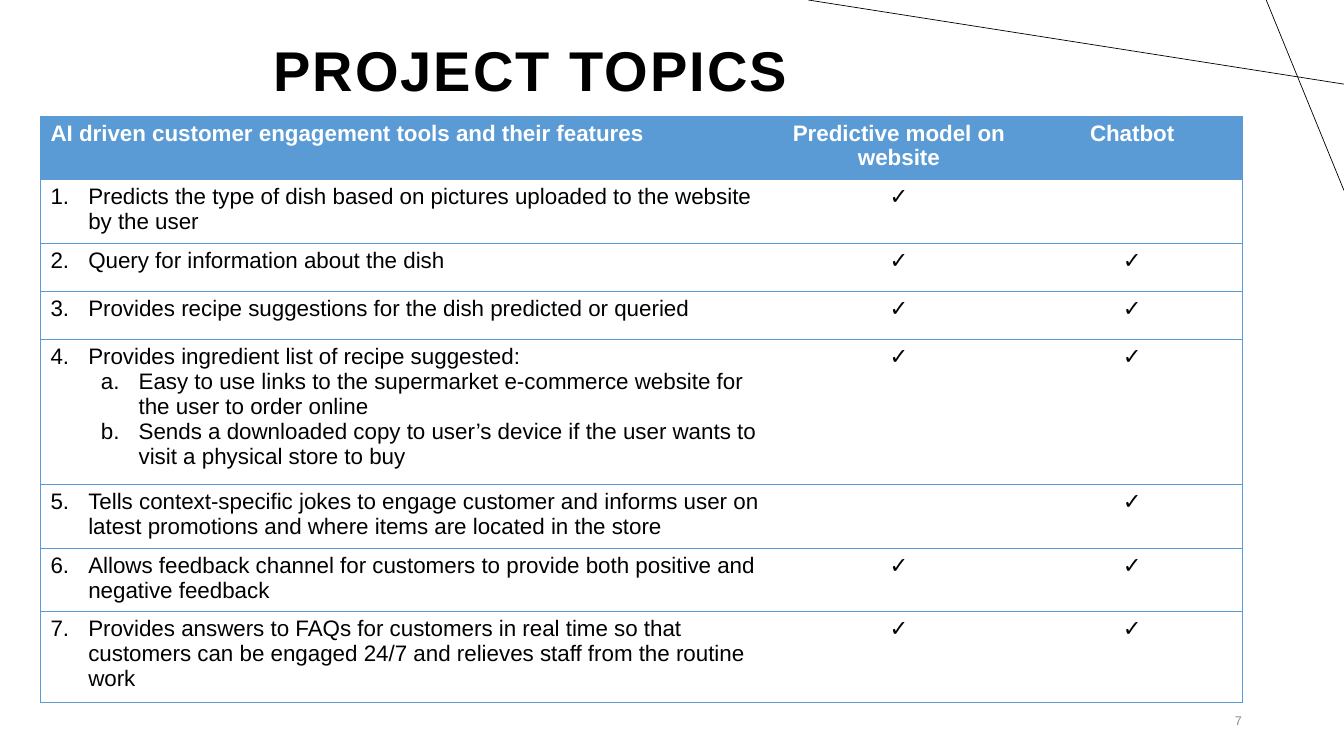
from lxml.etree import SubElement
from pptx import Presentation
from pptx.dml.color import RGBColor
from pptx.enum.shapes import MSO_CONNECTOR as CONN
from pptx.enum.text import MSO_ANCHOR as ANCHOR, PP_ALIGN as ALIGN
from pptx.oxml.ns import qn
from pptx.util import Cm, Pt

BLUE, BLACK, WHITE, GREY = "5B9BD5", "000000", "FFFFFF", "8C8C8C"
BODY = {"name": "Arial", "size": Pt(16), "bold": False}
HEAD = {**BODY, "bold": True}
TITLE = {**HEAD, "size": Pt(40)}
NUMBER = {**BODY, "size": Pt(9)}

HEADERS = ["AI driven customer engagement tools and their features",
           "Predictive model on website", "Chatbot"]
TOPICS = [
    ("Predicts the type of dish based on pictures uploaded to the website by the user", [], "✓", ""),
    ("Query for information about the dish", [], "✓", "✓"),
    ("Provides recipe suggestions for the dish predicted or queried", [], "✓", "✓"),
    ("Provides ingredient list of recipe suggested:",
     ["Easy to use links to the supermarket e-commerce website for the user to order online",
      "Sends a downloaded copy to user’s device if the user wants to visit a physical store to buy"],
     "✓", "✓"),
    ("Tells context-specific jokes to engage customer and informs user on latest promotions "
     "and where items are located in the store", [], "", "✓"),
    ("Allows feedback channel for customers to provide both positive and negative feedback", [], "✓", "✓"),
    ("Provides answers to FAQs for customers in real time so that customers can be engaged 24/7 "
     "and relieves staff from the routine work", [], "✓", "✓"),
]


def rgb(color):
    return RGBColor.from_string(color)


def write(p, text, style, color, align=ALIGN.LEFT):
    p.alignment = align
    r = p.add_run()
    r.text = text
    for key, value in style.items():
        setattr(r.font, key, value)
    r.font.color.rgb = rgb(color)
    return r


def number(p, scheme, start=1, level=0):
    p.level = level
    pPr = p._p.get_or_add_pPr()
    pPr.set("marL", str(Cm(0.95 + 1.27 * level)))
    pPr.set("indent", str(-Cm(0.95)))
    SubElement(pPr, qn("a:buFont"), typeface="+mj-lt")
    SubElement(pPr, qn("a:buAutoNum"), type=scheme, startAt=str(start))


def border(cell, sides):
    tcPr = cell._tc.get_or_add_tcPr()
    for side in "LRTB":
        ln = SubElement(tcPr, qn(f"a:ln{side}"), w=str(Pt(0.5)))
        if side in sides:
            SubElement(SubElement(ln, qn("a:solidFill")), qn("a:srgbClr"), val=BLUE)
        else:
            SubElement(ln, qn("a:noFill"))


def add_line(s, x1, y1, x2, y2):
    c = s.shapes.add_connector(CONN.STRAIGHT, Cm(x1), Cm(y1), Cm(x2), Cm(y2))
    c.line.color.rgb = rgb(BLACK)
    c.line.width = Pt(0.5)
    SubElement(c._element.spPr, qn("a:effectLst"))


def add_corner(s, left, top, width, height):
    right = left + width
    add_line(s, right, top + 2.12, left, top)
    add_line(s, right - 1.96, top, right, top + height)


def add_title(s, left, top, width, height):
    sp = s.shapes.title
    sp.left, sp.top, sp.width, sp.height = map(Cm, (left, top, width, height))
    tf = sp.text_frame
    tf.vertical_anchor = ANCHOR.MIDDLE
    p = tf.paragraphs[0]
    p.line_spacing = 0.9
    r = write(p, "PROJECT TOPICS", TITLE, BLACK, ALIGN.CENTER)
    r.font._element.set("spc", "150")


def add_page_number(s, left, top, width, height):
    tf = s.shapes.add_textbox(*map(Cm, (left, top, width, height))).text_frame
    tf.word_wrap = True
    tf.vertical_anchor = ANCHOR.MIDDLE
    write(tf.paragraphs[0], "7", NUMBER, GREY, ALIGN.RIGHT)


def add_topics(s, left, top, width, row_height):
    count = len(TOPICS) + 1
    box = map(Cm, (left, top, width, row_height * count))
    table = s.shapes.add_table(count, len(HEADERS), *box).table
    table.horz_banding = False
    for col, share in zip(table.columns, (0.612, 0.204, 0.184)):
        col.width = Cm(width * share)
    for i, row in enumerate(table.rows):
        row.height = Cm(row_height)
        for j, cell in enumerate(row.cells):
            border(cell, "TB" + ("L", "", "R")[j])
            if i == 0:
                cell.fill.solid()
                cell.fill.fore_color.rgb = rgb(BLUE)
            else:
                cell.fill.background()
    for j, text in enumerate(HEADERS):
        p = table.cell(0, j).text_frame.paragraphs[0]
        write(p, text, HEAD, WHITE, ALIGN.CENTER if j else ALIGN.LEFT)
    for i, (topic, details, *marks) in enumerate(TOPICS, 1):
        tf = table.cell(i, 0).text_frame
        p = tf.paragraphs[0]
        number(p, "arabicPeriod", i)
        write(p, topic, BODY, BLACK)
        for detail in details:
            p = tf.add_paragraph()
            number(p, "alphaLcPeriod", level=1)
            write(p, detail, BODY, BLACK)
        for j, mark in enumerate(marks, 1):
            if mark:
                write(table.cell(i, j).text_frame.paragraphs[0], mark, BODY, BLACK, ALIGN.CENTER)


def main():
    prs = Presentation()
    prs.slide_width, prs.slide_height = Cm(33.87), Cm(19.05)
    s = prs.slides.add_slide(prs.slide_layouts[5])
    add_corner(s, 20.37, 0, 13.5, 4.8)
    add_title(s, 5.23, 0, 16.28, 3.68)
    add_page_number(s, 23.93, 17.65, 7.62, 1.02)
    add_topics(s, 1.02, 2.92, 30.3, 1.21)
    prs.save("out.pptx")


if __name__ == "__main__":
    main()
